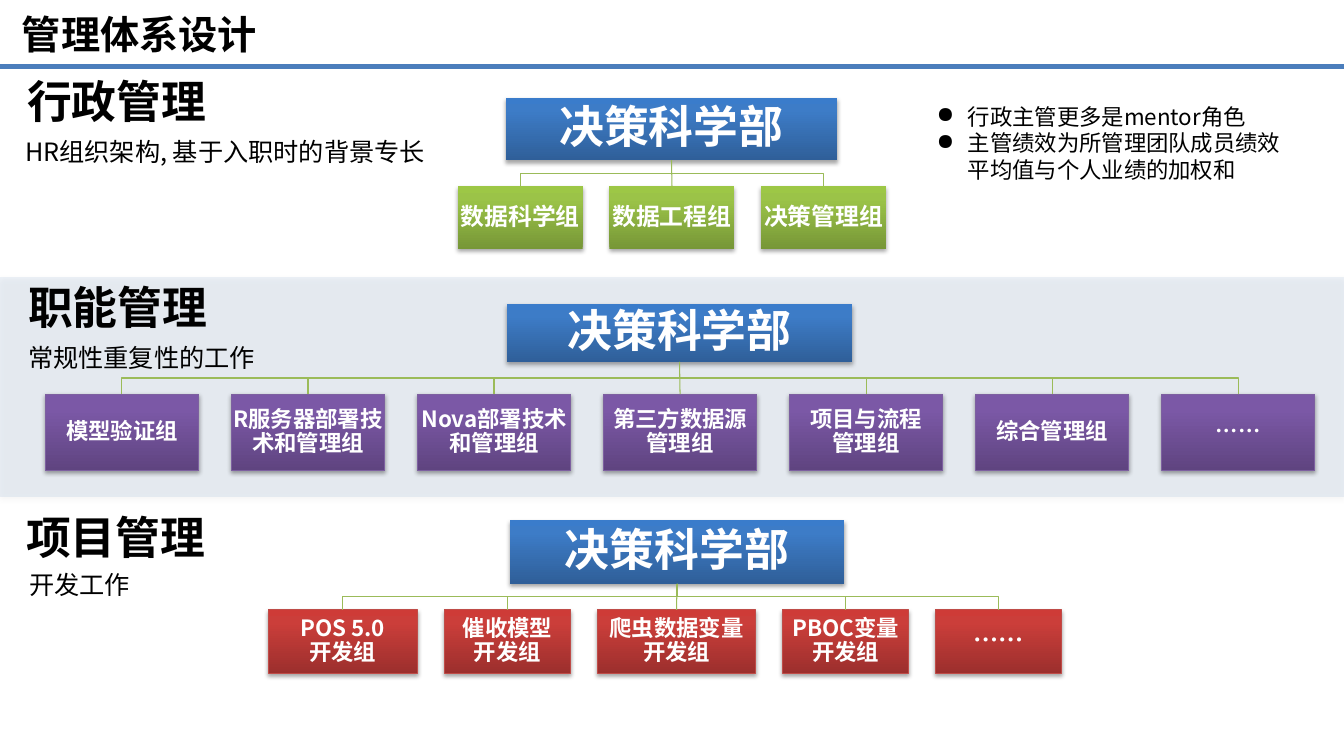
from copy import deepcopy

from pptx import Presentation
from pptx.dml.color import RGBColor
from pptx.enum import shapes, text as texts
from pptx.oxml import ns, xmlchemy
from pptx.util import Inches, Pt

BLACK = RGBColor(0x00, 0x00, 0x00)
WHITE = RGBColor(0xFF, 0xFF, 0xFF)
RULE_BLUE = RGBColor(0x4B, 0x7E, 0xBC)
BAND_BLUE = RGBColor(0x4F, 0x81, 0xBD)
BRANCH_GREEN = RGBColor(0x9B, 0xBB, 0x59)
RED_EDGE = RGBColor(0xBF, 0x4C, 0x48)
PURPLE_EDGE = RGBColor(0x7D, 0x60, 0xA0)
# Gradient colours run from the bottom of a box to its top
BLUES = [RGBColor(0x2F, 0x5F, 0x99), RGBColor(0x3D, 0x7C, 0xC7), RGBColor(0x3A, 0x7C, 0xCB)]
GREENS = [RGBColor(0x77, 0x97, 0x37), RGBColor(0x9B, 0xC3, 0x48), RGBColor(0x9D, 0xC7, 0x46)]
PURPLES = [RGBColor(0x5F, 0x44, 0x80), RGBColor(0x7B, 0x58, 0xA6), RGBColor(0x7C, 0x57, 0xA8)]
REDS = [RGBColor(0x9C, 0x2F, 0x2D), RGBColor(0xCB, 0x3E, 0x3A), RGBColor(0xCE, 0x3B, 0x37)]
SANS_SC = "Noto Sans CJK SC"
SANS_JP = "Noto Sans CJK JP"


def write(box, text, size, font=SANS_SC, east=SANS_SC, color=BLACK, bold=False,
          wrap=True, inset=None, centred=False, bullet=None):
    frame = box.text_frame
    frame.word_wrap = wrap
    if inset is not None:
        frame.margin_left = frame.margin_right = Inches(inset)
        frame.margin_top = frame.margin_bottom = Inches(inset)
    lines = text if isinstance(text, list) else [text]
    for index, line in enumerate(lines):
        para = frame.add_paragraph() if index else frame.paragraphs[0]
        para.text = line
        para.alignment = texts.PP_ALIGN.CENTER if centred else texts.PP_ALIGN.LEFT
        if centred:
            frame.vertical_anchor = texts.MSO_ANCHOR.MIDDLE
            para.line_spacing = 0.9
            para.space_after = Pt(size * 0.35)
        if bullet:
            settings = para._p.get_or_add_pPr()
            settings.set("marL", str(Inches(0.31)))
            settings.set("indent", str(-Inches(0.31)))
            xmlchemy.OxmlElement("a:buChar")
            mark = settings.makeelement(ns.qn("a:buChar"), {"char": bullet})
            settings.append(mark)
        for span in para.runs:
            span.font.size = Pt(size)
            span.font.name = font
            span.font.bold = bold
            span.font.color.rgb = color
            style = span._r.get_or_add_rPr()
            style.append(style.makeelement(ns.qn("a:ea"), {"typeface": east}))
        # Line breaks take the format of the text around them
        for line_break in para._p.findall(ns.qn("a:br")):
            line_break.insert(0, deepcopy(para.runs[0]._r.rPr))


def cast_shadow(shape, opacity, distance):
    shape.shadow.inherit = False
    effects = shape._element.spPr.find(ns.qn("a:effectLst"))
    shadow = effects.makeelement(ns.qn("a:outerShdw"), {
        "blurRad": str(Pt(3.1)), "dist": str(Pt(distance)), "dir": "5400000", "rotWithShape": "0"})
    tint = shadow.makeelement(ns.qn("a:srgbClr"), {"val": "000000"})
    tint.append(tint.makeelement(ns.qn("a:alpha"), {"val": str(opacity * 1000)}))
    shadow.append(tint)
    effects.append(shadow)


deck = Presentation()
deck.slide_width = Inches(13.33)
deck.slide_height = Inches(7.5)
page = deck.slides.add_slide(deck.slide_layouts[6])

# Pale band behind the middle section
band = page.shapes.add_shape(shapes.MSO_SHAPE.RECTANGLE, 0, Inches(2.75), Inches(13.33), Inches(2.18))
band.fill.solid()
band.fill.fore_color.rgb = BAND_BLUE
band_color = band._element.spPr.find(ns.qn("a:solidFill"))[0]
band_color.append(band_color.makeelement(ns.qn("a:alpha"), {"val": "10000"}))
band.line.fill.background()
cast_shadow(band, 38, 1.6)

# Organisation charts: head box, then a row of groups spread evenly from left to right
charts = [
    dict(head=(5.02, 0.97, 3.28, 0.62), top=1.85, height=0.62, left=4.54, right=8.79,
         colors=GREENS, edge=None,
         groups=[("数据科学组", 1.24, 17), ("数据工程组", 1.24, 17), ("决策管理组", 1.24, 17)]),
    dict(head=(5.03, 3.02, 3.42, 0.57), top=3.91, height=0.76, left=0.45, right=13.04,
         colors=PURPLES, edge=PURPLE_EDGE,
         groups=[(name, 1.52, 16) for name in (
             "模型验证组", "R服务器部署技术和管理组", "Nova部署技术和管理组", "第三方数据源管理组",
             "项目与流程\n管理组", "综合管理组", "……")]),
    dict(head=(5.06, 5.16, 3.31, 0.63), top=6.05, height=0.63, left=2.66, right=10.53,
         colors=REDS, edge=RED_EDGE,
         groups=[("POS 5.0\n开发组", 1.48, 16), ("催收模型\n开发组", 1.25, 16),
                 ("爬虫数据变量开发组", 1.57, 16), ("PBOC变量开发组", 1.25, 16), ("……", 1.25, 18)]),
]
for chart in charts:
    groups = chart["groups"]
    gap = (chart["right"] - chart["left"] - sum(width for _, width, _ in groups)) / (len(groups) - 1)
    plan = [("决策科学部", chart["head"], 32, 0.02, BLUES, None)]
    left = chart["left"]
    for name, width, size in groups:
        place = (left, chart["top"], width, chart["height"])
        plan.append((name, place, size, 0.01, chart["colors"], chart["edge"]))
        left += width + gap

    boxes = []
    for name, place, size, inset, colors, edge in plan:
        box = page.shapes.add_shape(shapes.MSO_SHAPE.RECTANGLE, *map(Inches, place))
        box.fill.gradient()
        box.fill.gradient_angle = 90
        stops = box._element.spPr.find(".//" + ns.qn("a:gsLst"))
        stops.append(deepcopy(stops[0]))
        for stop, color, position in zip(box.fill.gradient_stops, colors, (0, 0.8, 1)):
            stop.color.rgb = color
            stop.position = position
        if edge:
            box.line.color.rgb = edge
            box.line.width = Pt(0.75)
        else:
            box.line.fill.background()
        cast_shadow(box, 35, 1.8)
        write(box, name, size, font=SANS_JP, east=SANS_JP, color=WHITE, bold=True,
              inset=inset, centred=True)
        boxes.append(box)

    # Branches: straight to the middle group, bent to the others
    head, *members = boxes
    start_x, start_y = head.left + head.width // 2, head.top + head.height
    for index, member in enumerate(members):
        end_x, end_y = member.left + member.width // 2, member.top
        if index == len(members) // 2:
            branch = page.shapes.add_connector(
                shapes.MSO_CONNECTOR.STRAIGHT, start_x, start_y, end_x, end_y)
            branch.begin_connect(head, 2)
            branch.end_connect(member, 0)
            spot = branch._element.spPr
            spot.append(spot.makeelement(ns.qn("a:effectLst"), {}))
        else:
            middle_y = (start_y + end_y) // 2
            builder = page.shapes.build_freeform(start_x, start_y)
            builder.add_line_segments(
                [(start_x, middle_y), (end_x, middle_y), (end_x, end_y)], close=False)
            branch = builder.convert_to_shape()
            branch.fill.background()
            branch.shadow.inherit = False
        branch.line.color.rgb = BRANCH_GREEN
        branch.line.width = Pt(0.75)

# Rule under the title
rule = page.shapes.add_connector(
    shapes.MSO_CONNECTOR.STRAIGHT, 0, Inches(0.66), Inches(13.33), Inches(0.66))
rule.line.color.rgb = RULE_BLUE
rule.line.width = Pt(3)
rule_shape = rule._element.spPr
rule_shape.append(rule_shape.makeelement(ns.qn("a:effectLst"), {}))

# Title, section headings, descriptions and remarks
heading = dict(size=32, bold=True)
labels = [
    ("管理体系设计", (0.12, 0.05, 10.4, 0.57), dict(size=28, font="Arial Narrow", bold=True)),
    ("行政管理", (0.17, 0.68, 2.33, 0.64), heading),
    ("职能管理", (0.18, 2.73, 2.33, 0.64), heading),
    ("项目管理", (0.16, 5.01, 2.12, 0.64), heading),
    ("HR组织架构, 基于入职时的背景专长", (0.15, 1.3, 4.23, 0.4), dict(size=18)),
    ("常规性重复性的工作", (0.18, 3.35, 2.47, 0.4), dict(size=18, wrap=False)),
    ("开发工作", (0.19, 5.6, 1.21, 0.4), dict(size=18, wrap=False)),
    (["行政主管更多是mentor角色", "主管绩效为所管理团队成员绩效平均值与个人业绩的加权和"],
     (9.19, 0.97, 3.78, 0.91), dict(size=16, bullet="●")),
]
for label, place, style in labels:
    write(page.shapes.add_textbox(*map(Inches, place)), label, **style)

deck.save("out.pptx")
